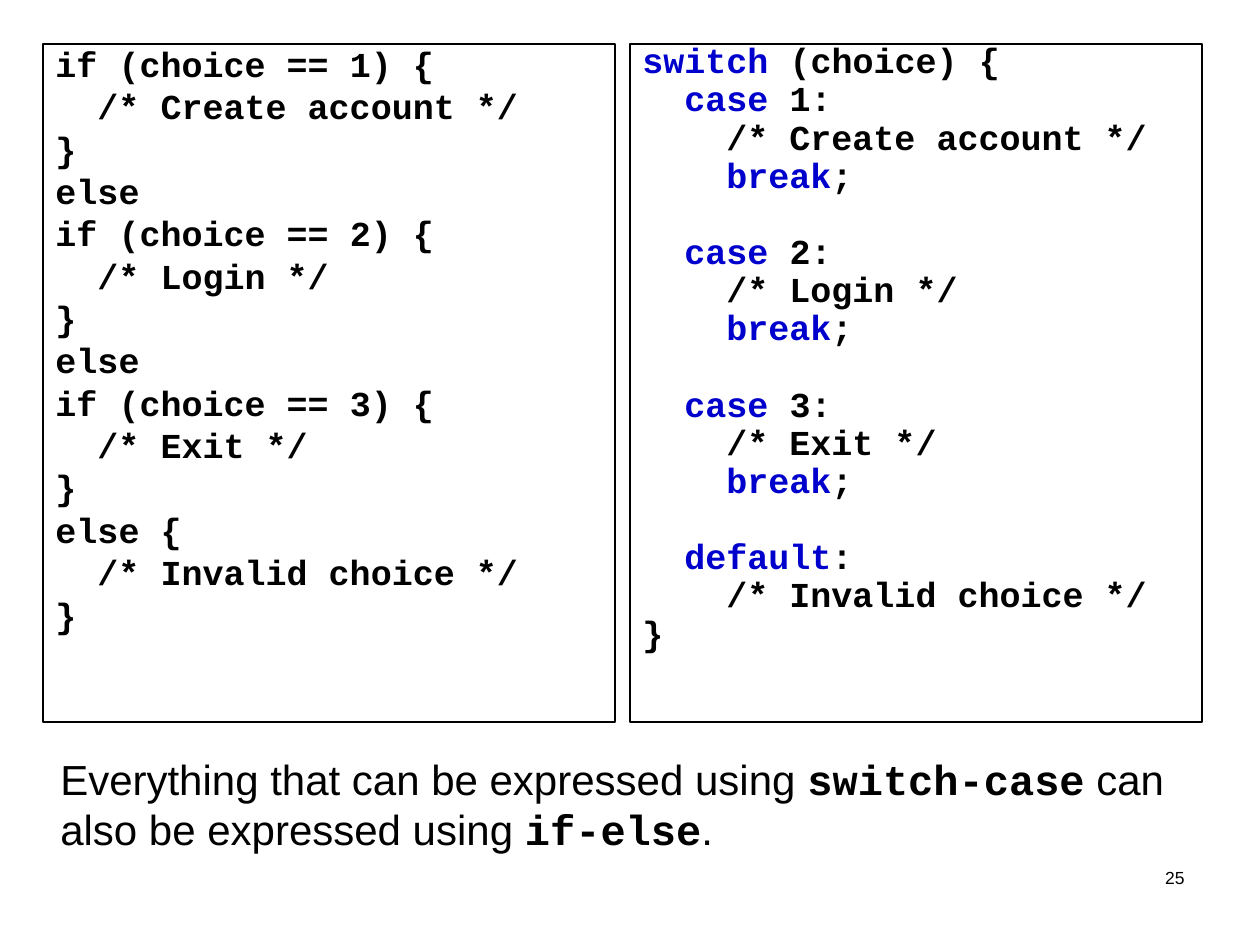
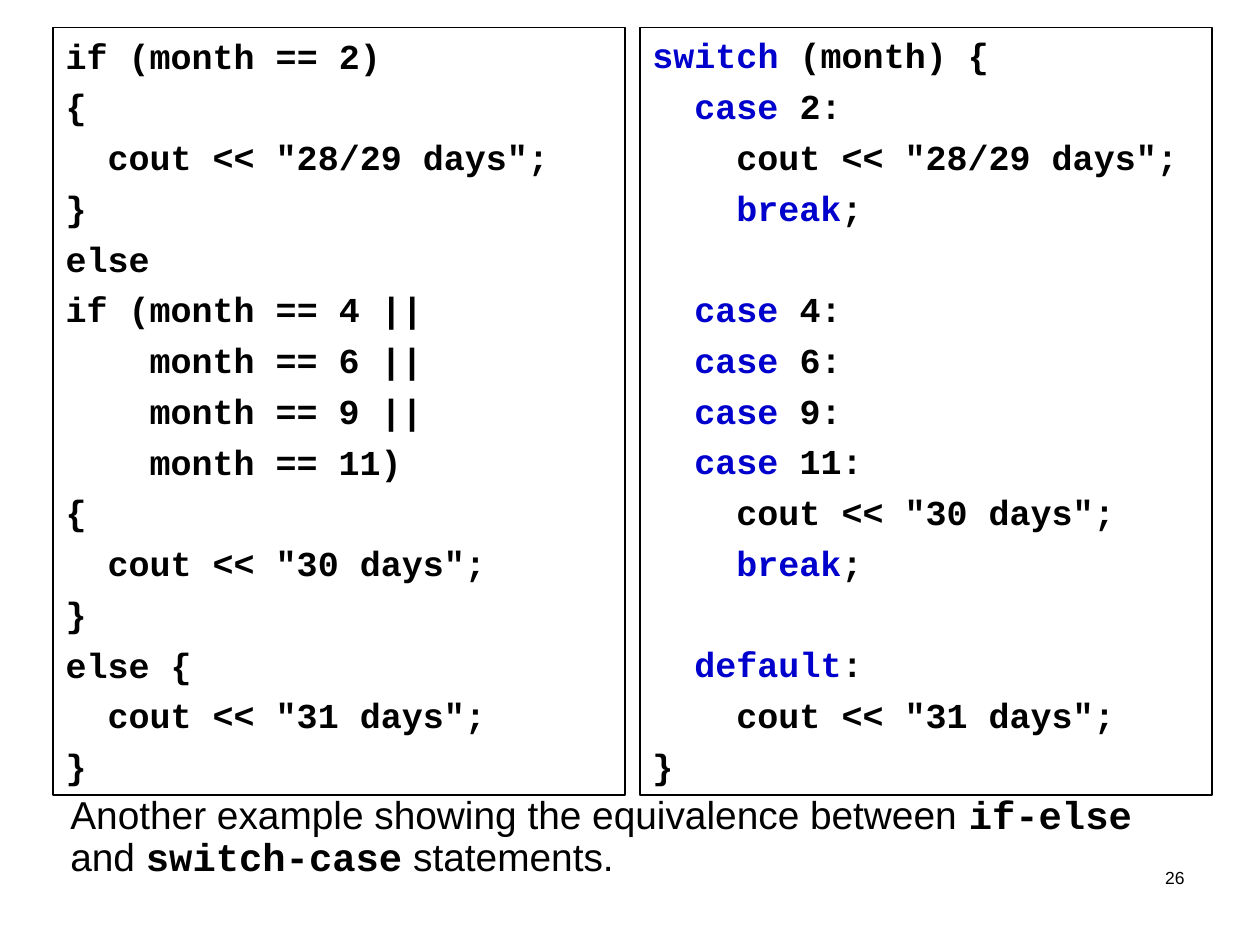
from dataclasses import dataclass

from lxml.etree import SubElement
from pptx import Presentation
from pptx.dml.color import RGBColor
from pptx.enum.shapes import MSO_SHAPE
from pptx.enum.text import MSO_ANCHOR, MSO_AUTO_SIZE, PP_ALIGN
from pptx.oxml.ns import qn
from pptx.util import Inches, Pt

# Shared style
BLACK = RGBColor(0x00, 0x00, 0x00)
KEYWORD_BLUE = RGBColor(0x00, 0x00, 0xCC)
CODE_FONT = "Courier New"
TEXT_FONT = "Arial"
CODE_SIZE = 20
CODE_LINE = 24  # height of one code line in points
CODE_GAP = 5  # space before each code line in points
CHAR_WIDTH = 0.6 * CODE_SIZE / 72  # inches
PANE_WIDTH = 4.54
PANE_GAP = 0.12
KEYWORDS = ("switch", "case", "break", "default")


@dataclass(frozen=True)
class Caption:
    text: str  # code words stand between backticks
    left: float
    top: float
    height: float
    size: float
    line_spacing: float


@dataclass(frozen=True)
class Comparison:
    number: int
    left: float
    top: float
    height: float
    if_code: str
    if_spacing: float
    switch_code: str
    switch_spacing: float
    caption: Caption


COMPARISONS = [
    Comparison(
        25, 0.34, 0.35, 5.38,
        """\
if (choice == 1) {
  /* Create account */
}
else
if (choice == 2) {
  /* Login */
}
else
if (choice == 3) {
  /* Exit */
}
else {
  /* Invalid choice */
}""", 0.8,
        """\
switch (choice) {
  case 1:
    /* Create account */
    break;

  case 2:
    /* Login */
    break;

  case 3:
    /* Exit */
    break;

  default:
    /* Invalid choice */
}""", 0.7,
        Caption("Everything that can be expressed using `switch-case` can "
                "also be expressed using `if-else`.",
                0.38, 5.93, 1.34, 24, 1.0),
    ),
    Comparison(
        26, 0.42, 0.22, 6.09,
        """\
if (month == 2)
{
  cout << "28/29 days";
}
else
if (month == 4 ||
    month == 6 ||
    month == 9 ||
    month == 11)
{
  cout << "30 days";
}
else {
  cout << "31 days";
}""", 1.0,
        """\
switch (month) {
  case 2:
    cout << "28/29 days";
    break;

  case 4:
  case 6:
  case 9:
  case 11:
    cout << "30 days";
    break;

  default:
    cout << "31 days";
}""", 1.0,
        Caption("Another example showing the equivalence between `if-else` "
                "and `switch-case` statements.",
                0.46, 6.27, 0.88, 22.2, 0.9),
    ),
]


def add_code_run(paragraph, text: str, color: RGBColor) -> None:
    run = paragraph.add_run()
    run.text = text
    run.font.color.rgb = color


def fill_pane(pane, code: str, spacing: float) -> None:
    """Outline a pane and set its code, one paragraph per line."""
    pane.fill.background()
    pane.line.color.rgb = BLACK
    pane.line.width = Pt(0.75)
    frame = pane.text_frame
    frame.word_wrap = True
    frame.auto_size = MSO_AUTO_SIZE.NONE
    frame.vertical_anchor = MSO_ANCHOR.TOP

    paragraph = frame.paragraphs[0]
    space_before = CODE_GAP
    for index, line in enumerate(code.splitlines()):
        if not line:
            # An empty code line becomes space above the next one
            space_before += CODE_LINE * spacing + CODE_GAP
            continue
        if index:
            paragraph = frame.add_paragraph()
        statement = line.lstrip()
        paragraph.alignment = PP_ALIGN.LEFT
        paragraph.line_spacing = spacing
        paragraph.space_before = Pt(space_before)
        paragraph.space_after = Pt(0)
        paragraph.font.name = CODE_FONT
        paragraph.font.size = Pt(CODE_SIZE)
        paragraph.font.bold = True
        space_before = CODE_GAP

        # Code indent without bullet
        properties = paragraph._p.get_or_add_pPr()
        depth = len(line) - len(statement)
        properties.set("marL", str(Inches(depth * CHAR_WIDTH)))
        properties.set("indent", "0")
        bullet = SubElement(properties, qn("a:buNone"))
        properties.find(qn("a:defRPr")).addprevious(bullet)

        keyword = next((k for k in KEYWORDS if statement.startswith(k)), "")
        if keyword:
            add_code_run(paragraph, keyword, KEYWORD_BLUE)
        rest = statement[len(keyword):]
        if rest:
            add_code_run(paragraph, rest, BLACK)


def add_caption(slide, caption: Caption) -> None:
    box = slide.shapes.add_textbox(Inches(caption.left), Inches(caption.top),
                                   Inches(9.12), Inches(caption.height))
    box.text_frame.word_wrap = True
    paragraph = box.text_frame.paragraphs[0]
    paragraph.space_before = Pt(6)
    paragraph.line_spacing = caption.line_spacing
    paragraph.font.size = Pt(caption.size)
    paragraph.font.color.rgb = BLACK
    for index, part in enumerate(caption.text.split("`")):
        is_code = index % 2 == 1
        run = paragraph.add_run()
        run.text = part
        run.font.name = CODE_FONT if is_code else TEXT_FONT
        run.font.bold = is_code


def add_slide_number(slide, number: int) -> None:
    box = slide.shapes.add_textbox(Inches(7.17), Inches(6.83),
                                   Inches(2.33), Inches(0.5))
    box.text_frame.word_wrap = True
    paragraph = box.text_frame.paragraphs[0]
    paragraph.text = str(number)
    paragraph.alignment = PP_ALIGN.RIGHT
    paragraph.font.name = TEXT_FONT
    paragraph.font.size = Pt(10)
    paragraph.font.color.rgb = BLACK


def add_comparison(presentation, comparison: Comparison) -> None:
    slide = presentation.slides.add_slide(presentation.slide_layouts[1])
    title = slide.shapes.title
    title.element.getparent().remove(title.element)
    top, height = Inches(comparison.top), Inches(comparison.height)
    width = Inches(PANE_WIDTH)

    # if-else on the left
    if_pane = slide.placeholders[1]
    if_pane.left, if_pane.top = Inches(comparison.left), top
    if_pane.width, if_pane.height = width, height
    fill_pane(if_pane, comparison.if_code, comparison.if_spacing)

    # switch-case on the right
    switch_left = Inches(comparison.left + PANE_WIDTH + PANE_GAP)
    switch_pane = slide.shapes.add_shape(MSO_SHAPE.RECTANGLE, switch_left,
                                         top, width, height)
    switch_pane.shadow.inherit = False
    fill_pane(switch_pane, comparison.switch_code, comparison.switch_spacing)

    add_caption(slide, comparison.caption)
    add_slide_number(slide, comparison.number)


def main() -> None:
    presentation = Presentation()
    presentation.slide_width = Inches(10)
    presentation.slide_height = Inches(7.5)
    for comparison in COMPARISONS:
        add_comparison(presentation, comparison)
    presentation.save("out.pptx")


if __name__ == "__main__":
    main()
